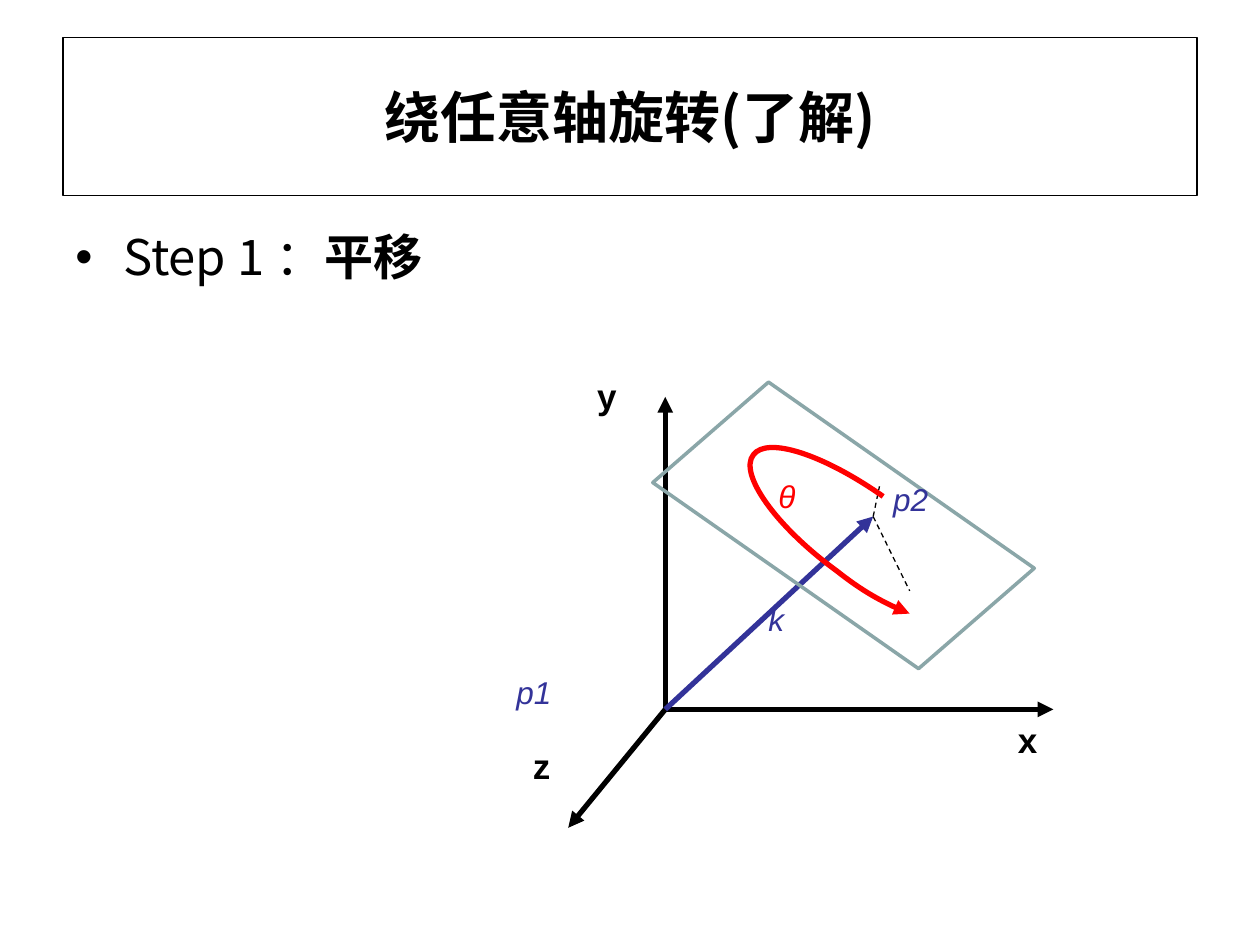
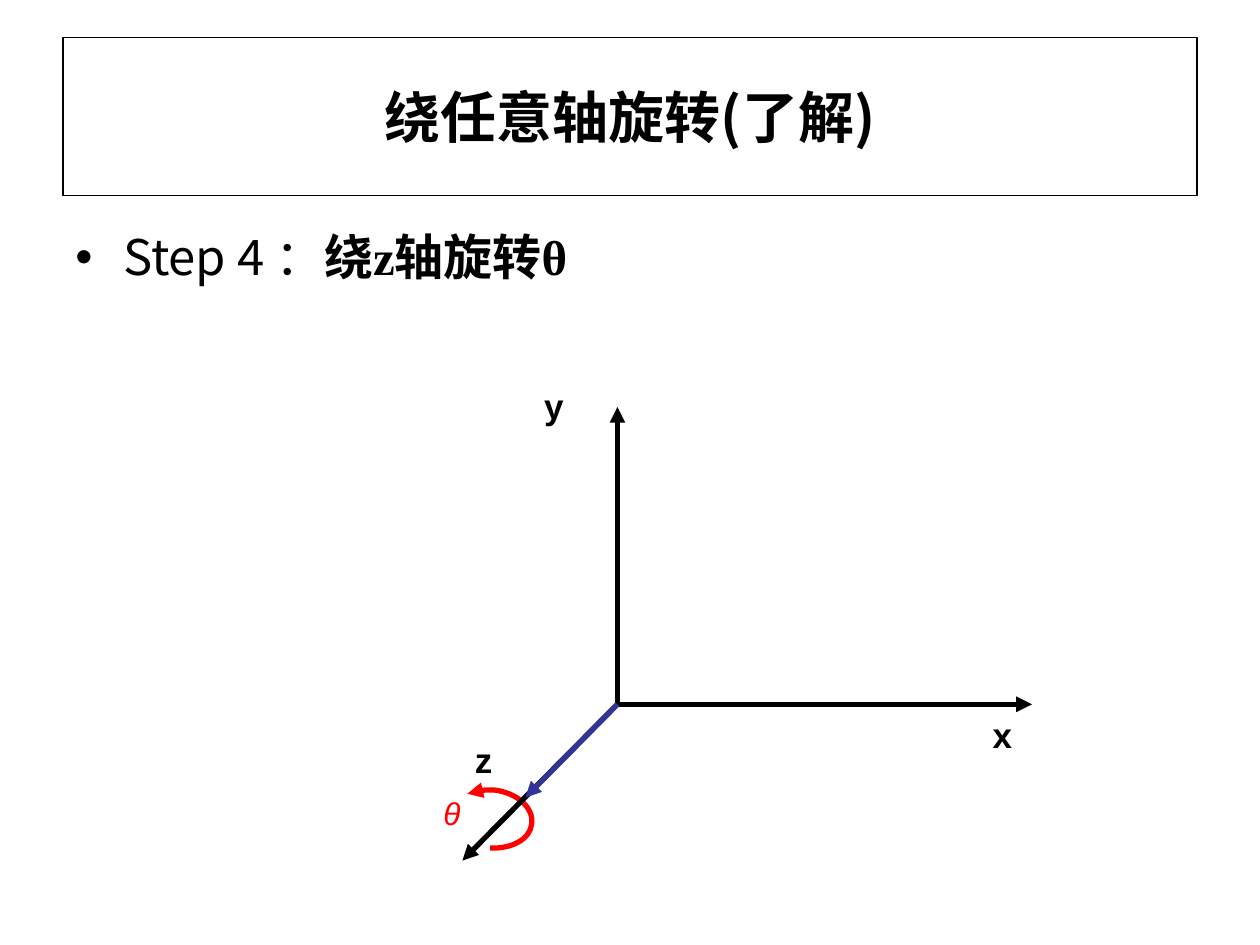
"""Build two slides on rotation about an arbitrary axis."""
from dataclasses import dataclass

from lxml.etree import SubElement
from pptx import Presentation
from pptx.dml.color import RGBColor
from pptx.enum.dml import MSO_LINE
from pptx.enum.shapes import MSO_CONNECTOR, MSO_SHAPE
from pptx.enum.text import MSO_ANCHOR, PP_ALIGN
from pptx.oxml.ns import qn
from pptx.util import Inches, Pt


@dataclass(frozen=True)
class Theme:
    ink: str = "000000"
    blue: str = "333399"
    red: str = "FF0000"
    plane: str = "8AA6A8"
    sans: str = "Noto Sans CJK SC"
    serif: str = "Times New Roman"
    label: str = "Arial"
    title: int = 32
    body: int = 28
    axis: int = 20
    note: int = 18
    thin: float = 0.75
    mid: float = 2
    thick: float = 3


THEME = Theme()


def write(para, text, size, font, color=THEME.ink, bold=False, italic=False):
    run = para.add_run()
    run.text = text
    face = run.font
    face.size, face.name = Pt(size), font
    face.bold, face.italic = bold, italic
    face.color.rgb = RGBColor.from_string(color)
    SubElement(run._r.get_or_add_rPr(), qn("a:ea"), typeface=THEME.sans)


def stroke(item, color, width, dash=False, arrow=False):
    line = item.line
    line.color.rgb = RGBColor.from_string(color)
    line.width = Pt(width)
    if dash:
        line.dash_style = MSO_LINE.DASH
    if arrow:
        SubElement(line._get_or_add_ln(), qn("a:tailEnd"), type="triangle")


def add_box(slide, kind, place, color, width):
    box = slide.shapes.add_shape(kind, *map(Inches, place))
    box.shadow.inherit = False
    box.fill.background()
    stroke(box, color, width)
    return box


def add_text(slide, place):
    frame = slide.shapes.add_textbox(*map(Inches, place)).text_frame
    frame.word_wrap = True
    return frame.paragraphs[0]


def add_line(slide, start, end, color=THEME.ink, width=THEME.thick, **style):
    line = slide.shapes.add_connector(
        MSO_CONNECTOR.STRAIGHT, *map(Inches, start + end))
    stroke(line, color, width, **style)
    SubElement(line._element.spPr, qn("a:effectLst"))


def add_curve(slide, start, *points):
    pen = slide.shapes.build_freeform(*map(Inches, start))
    pen.add_line_segments([(Inches(x), Inches(y)) for x, y in points], close=False)
    curve = pen.convert_to_shape()
    curve.shadow.inherit = False
    curve.fill.background()
    stroke(curve, THEME.red, THEME.thick, arrow=True)
    steps = list(curve._element.iter(qn("a:lnTo")))
    for first in range(0, len(steps), 3):
        trio = steps[first:first + 3]
        bend = SubElement(trio[0].getparent(), qn("a:cubicBezTo"))
        for step in trio:
            bend.append(step[0])
            step.getparent().remove(step)


def add_axes(slide, center, tips, spots, size):
    for tip in tips:
        add_line(slide, center, tip, arrow=True)
    for name, spot in zip("xyz", spots):
        write(add_text(slide, spot + size), name, THEME.axis, THEME.label, bold=True)


def add_note(slide, text, spot, color=THEME.blue):
    write(add_text(slide, spot + (0.75, 0.57)), text, THEME.note, THEME.label,
          color, italic=True)


def add_page(deck, step, action):
    slide = deck.slides.add_slide(deck.slide_layouts[6])
    box = add_box(slide, MSO_SHAPE.RECTANGLE, (0.5, 0.3, 9, 1.25),
                  THEME.ink, THEME.thin)
    box.text_frame.vertical_anchor = MSO_ANCHOR.MIDDLE
    head = box.text_frame.paragraphs[0]
    head.alignment = PP_ALIGN.CENTER
    write(head, "绕任意轴旋转(了解)", THEME.title, THEME.sans, bold=True)

    para = add_text(slide, (0.5, 1.75, 9, 4.95))
    para.space_before = Pt(THEME.body * 0.2)
    props = para._p.get_or_add_pPr()
    props.set("marL", str(Inches(0.38)))
    props.set("indent", str(-Inches(0.38)))
    SubElement(props, qn("a:buFont"), typeface=THEME.label)
    SubElement(props, qn("a:buChar"), char="•")
    write(para, f"Step {step} ：", THEME.body, THEME.sans)
    write(para, action, THEME.body, THEME.serif, bold=True)
    return slide


def draw_shift(deck):
    slide = add_page(deck, 1, "平移")
    center, tip = (5.28, 5.63), (6.93, 4.1)
    add_axes(slide, center, [(8.36, 5.63), (5.28, 3.15), (4.51, 6.57)],
             [(7.98, 5.65), (4.64, 2.92), (4.13, 5.86)], (0.51, 0.62))
    add_line(slide, center, tip, THEME.blue, arrow=True)
    for end in [(6.98, 3.86), (7.22, 4.69)]:
        add_line(slide, tip, end, width=THEME.thin, dash=True)
    add_curve(slide, (7.01, 3.94), (6.54, 3.61), (6.09, 3.46), (5.98, 3.61),
              (5.86, 3.76), (6.16, 4.18), (6.64, 4.53),
              (6.83, 4.68), (7.04, 4.8), (7.22, 4.87))
    plane = add_box(slide, MSO_SHAPE.PARALLELOGRAM, (5.26, 3.58, 2.87, 1.18),
                    THEME.plane, THEME.mid)
    plane.rotation = 35
    add_note(slide, "θ", (6.08, 3.74), THEME.red)
    for name, spot in [("k", (6, 4.71)), ("p1", (4, 5.29)), ("p2", (6.99, 3.76))]:
        add_note(slide, name, spot)


def draw_spin(deck):
    slide = add_page(deck, 4, "绕z轴旋转θ")
    center = (4.9, 5.59)
    add_note(slide, "θ", (3.42, 6.25), THEME.red)
    add_curve(slide, (3.89, 6.73), (4.06, 6.74), (4.21, 6.66), (4.22, 6.54),
              (4.24, 6.41), (4.1, 6.29), (3.92, 6.27),
              (3.85, 6.27), (3.77, 6.27), (3.71, 6.3))
    add_axes(slide, center, [(8.19, 5.59), (4.9, 3.23), (3.67, 6.83)],
             [(7.78, 5.61), (4.22, 3), (3.67, 5.81)], (0.55, 0.59))
    add_line(slide, center, (4.17, 6.33), THEME.blue, arrow=True)


def main():
    deck = Presentation()
    deck.slide_width, deck.slide_height = Inches(10), Inches(7.5)
    draw_shift(deck)
    draw_spin(deck)
    deck.save("out.pptx")


if __name__ == "__main__":
    main()
